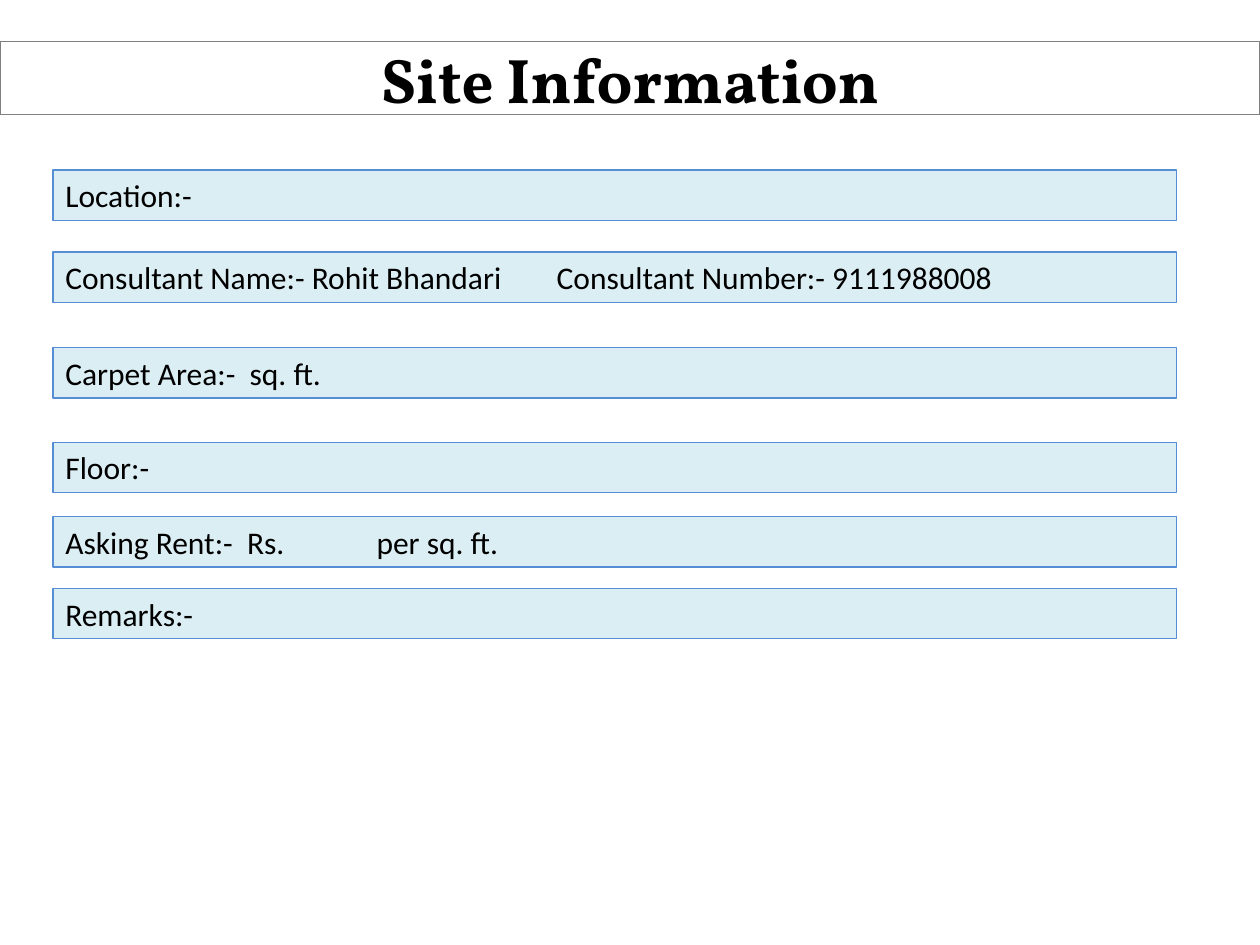
from lxml import etree
from pptx import Presentation, util as u
from pptx.dml.color import RGBColor
from pptx.enum import shapes, text
from pptx.oxml.ns import qn

WIDTH, HEIGHT = 10, 7.5
FIELD_LEFT, FIELD_WIDTH, FIELD_HEIGHT = 0.42, 8.92, 0.4

# Each field: top, text, and where the text after a tab starts
FIELDS = [
    (1.35, "Location:-", None),
    (2, "Consultant Name:- Rohit Bhandari\tConsultant Number:- 9111988008", 3.9),
    (2.76, "Carpet Area:-  sq. ft.", None),
    (3.51, "Floor:-", None),
    (4.1, "Asking Rent:-  Rs.\tper sq. ft.", 2.47),
    (4.67, "Remarks:-", None),
]


def color(hex_string):
    return RGBColor.from_string(hex_string)


def add_box(s, left, top, width, height, fill, line):
    sp = s.shapes.add_shape(shapes.MSO_SHAPE.RECTANGLE,
                            *map(u.Inches, (left, top, width, height)))
    sp.shadow.inherit = False
    sp.fill.solid()
    sp.fill.fore_color.rgb = color(fill)
    sp.line.color.rgb = color(line)
    sp.line.width = u.Pt(0.75)
    return sp


def set_text(sp, content, font="Calibri", size=18, bold=False,
             align=text.PP_ALIGN.LEFT, anchor=text.MSO_ANCHOR.TOP, tab=None):
    tf = sp.text_frame
    tf.word_wrap = True
    tf.vertical_anchor = anchor
    p = tf.paragraphs[0]
    p.alignment = align
    if tab:
        tabs = etree.SubElement(p._p.get_or_add_pPr(), qn("a:tabLst"))
        etree.SubElement(tabs, qn("a:tab"), pos=str(u.Inches(tab)), algn="l")
    r = p.add_run()
    r.text = content
    r.font.name = font
    r.font.size = u.Pt(size)
    r.font.bold = bold
    r.font.color.rgb = color("000000")


def add_title(s, content):
    sp = add_box(s, 0, 0.33, WIDTH, 0.58, "FFFFFF", "808080")
    set_text(sp, content, font="Vollkorn", size=36, bold=True,
             align=text.PP_ALIGN.CENTER, anchor=text.MSO_ANCHOR.MIDDLE)


def add_field(s, top, content, tab):
    sp = add_box(s, FIELD_LEFT, top, FIELD_WIDTH, FIELD_HEIGHT, "DBEEF4", "558ED5")
    set_text(sp, content, tab=tab)
    sp.text_frame.auto_size = text.MSO_AUTO_SIZE.SHAPE_TO_FIT_TEXT


def main():
    prs = Presentation()
    prs.slide_width, prs.slide_height = u.Inches(WIDTH), u.Inches(HEIGHT)
    s = prs.slides.add_slide(prs.slide_layouts[6])

    # Heading
    add_title(s, "Site Information")

    # Site details
    for top, content, tab in FIELDS:
        add_field(s, top, content, tab)

    prs.save("out.pptx")


if __name__ == "__main__":
    main()
